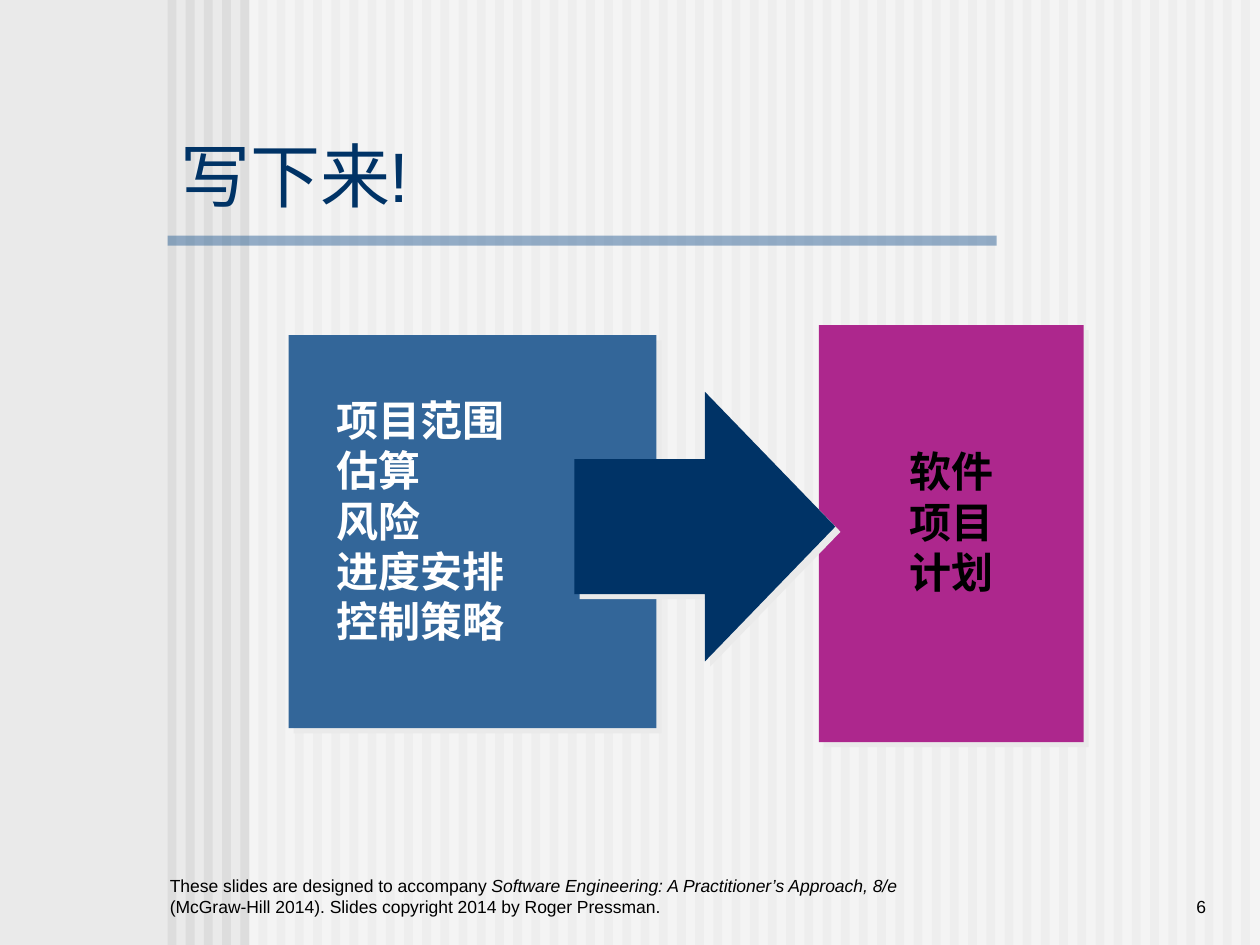
"""Build the slide on writing down the software project plan."""
from dataclasses import dataclass
from typing import Optional

from lxml import etree
from pptx import Presentation
from pptx.dml.color import RGBColor
from pptx.enum.shapes import MSO_SHAPE
from pptx.enum.text import MSO_ANCHOR, MSO_AUTO_SIZE, PP_ALIGN
from pptx.oxml.ns import qn
from pptx.util import Inches, Pt

RECT, ARROW = MSO_SHAPE.RECTANGLE, MSO_SHAPE.RIGHT_ARROW
LEFT, CENTER, RIGHT = PP_ALIGN.LEFT, PP_ALIGN.CENTER, PP_ALIGN.RIGHT
TOP, BOTTOM = MSO_ANCHOR.TOP, MSO_ANCHOR.BOTTOM
NO_FIT, GROW = MSO_AUTO_SIZE.NONE, MSO_AUTO_SIZE.SHAPE_TO_FIT_TEXT
FONT = "Arial"
COLORS = {
    "background": "EAEAEA",
    "stripe": "DDDDDD",
    "white": "FFFFFF",
    "black": "000000",
    "blue": "336699",
    "navy": "003366",
    "magenta": "AD278D",
}
STRIPES, FIRST_STRIPE, LAST_STRIPE = 60, 1.33, 9.85
PITCH = (LAST_STRIPE - FIRST_STRIPE) / (STRIPES - 1)


@dataclass
class Block:
    left: float
    top: float
    width: float
    height: float
    color: str
    kind: int = RECT
    alpha: Optional[int] = None
    shadow: bool = False


@dataclass
class Label:
    left: float
    top: float
    width: float
    height: float
    lines: list
    size: int = 10
    color: str = "black"
    bold: bool = False
    align: int = LEFT
    anchor: int = TOP
    wrap: bool = True
    fit: int = NO_FIT


BACKDROP = [
    *(Block(FIRST_STRIPE + i * PITCH, 0, 0.07, 7.5, "stripe") for i in range(STRIPES)),
    Block(1.98, 0, 8.02, 7.5, "white", alpha=50),
    Block(1.33, 1.87, 6.58, 0.08, "blue", alpha=50),
]
FOOTER = [
    ("These slides are designed to accompany ", False),
    ("Software Engineering: A Practitioner’s Approach, 8/e ", True),
    ("(McGraw-Hill 2014). Slides copyright 2014 by Roger Pressman.", False),
]
INPUTS = ["项目范围", "估算", "风险", "进度安排", "控制策略"]
PLAN = ["软件", "项目", "计划"]
CONTENT = [
    Label(8.25, 6.83, 1.42, 0.5, ["6"], align=RIGHT, anchor=BOTTOM),
    Label(1.25, 6.83, 6, 0.5, [FOOTER], anchor=BOTTOM),
    Block(6.5, 2.58, 2.1, 3.31, "magenta", shadow=True),
    Label(7.1, 3.49, 0.9, 1.3, PLAN, 24, bold=True, align=CENTER, wrap=False, fit=GROW),
    Block(2.29, 2.66, 2.92, 3.12, "blue", shadow=True),
    Label(2.57, 3.08, 1.99, 2.1, INPUTS, 24, "white", bold=True, fit=GROW),
    Block(4.56, 3.11, 2.07, 2.14, "navy", ARROW, shadow=True),
]


def rgb(name: str) -> RGBColor:
    """Return the named colour."""
    return RGBColor.from_string(COLORS[name])


def write(p, text: str, *, size: int, color: str, bold=False, italic=False) -> None:
    """Add a formatted run to a paragraph."""
    r = p.add_run()
    r.text = text
    r.font.name, r.font.size = FONT, Pt(size)
    r.font.bold, r.font.italic = bold, italic
    r.font.color.rgb = rgb(color)


def add_shadow(sp) -> None:
    """Give a shape a solid shadow to its lower right."""
    effects = sp.element.spPr.find(qn("a:effectLst"))
    shadow = etree.SubElement(
        effects, qn("a:outerShdw"), dist=str(Pt(4.2)), dir="2700000", algn="ctr", rotWithShape="0"
    )
    etree.SubElement(shadow, qn("a:srgbClr"), val=COLORS["background"])


def draw_block(s, b: Block) -> None:
    """Draw a filled shape without an outline."""
    sp = s.shapes.add_shape(b.kind, Inches(b.left), Inches(b.top), Inches(b.width), Inches(b.height))
    sp.shadow.inherit = False
    sp.fill.solid()
    sp.fill.fore_color.rgb = rgb(b.color)
    sp.line.fill.background()
    if b.alpha is not None:
        clr = sp.element.spPr.find(qn("a:solidFill"))[0]
        etree.SubElement(clr, qn("a:alpha"), val=str(b.alpha * 1000))
    if b.shadow:
        add_shadow(sp)


def fill_label(sp, label: Label) -> None:
    """Place a text shape and write its lines."""
    sp.left, sp.top = Inches(label.left), Inches(label.top)
    sp.width, sp.height = Inches(label.width), Inches(label.height)
    tf = sp.text_frame
    tf.word_wrap, tf.auto_size, tf.vertical_anchor = label.wrap, label.fit, label.anchor
    for i, line in enumerate(label.lines):
        p = tf.add_paragraph() if i else tf.paragraphs[0]
        p.alignment = label.align
        runs = [(line, False)] if isinstance(line, str) else line
        for text, italic in runs:
            write(p, text, size=label.size, color=label.color, bold=label.bold, italic=italic)


def main() -> None:
    """Build and save the slide."""
    prs = Presentation()
    prs.slide_width, prs.slide_height = Inches(10), Inches(7.5)
    s = prs.slides.add_slide(prs.slide_layouts[5])
    s.background.fill.solid()
    s.background.fill.fore_color.rgb = rgb("background")
    for block in BACKDROP:
        draw_block(s, block)
    title = s.shapes.title
    title.element.getparent().append(title.element)
    fill_label(title, Label(1.33, 1.08, 5.59, 0.69, ["写下来!"], 40, "navy", anchor=BOTTOM))
    for item in CONTENT:
        if isinstance(item, Block):
            draw_block(s, item)
        else:
            fill_label(s.shapes.add_textbox(0, 0, 0, 0), item)
    prs.save("out.pptx")


if __name__ == "__main__":
    main()
